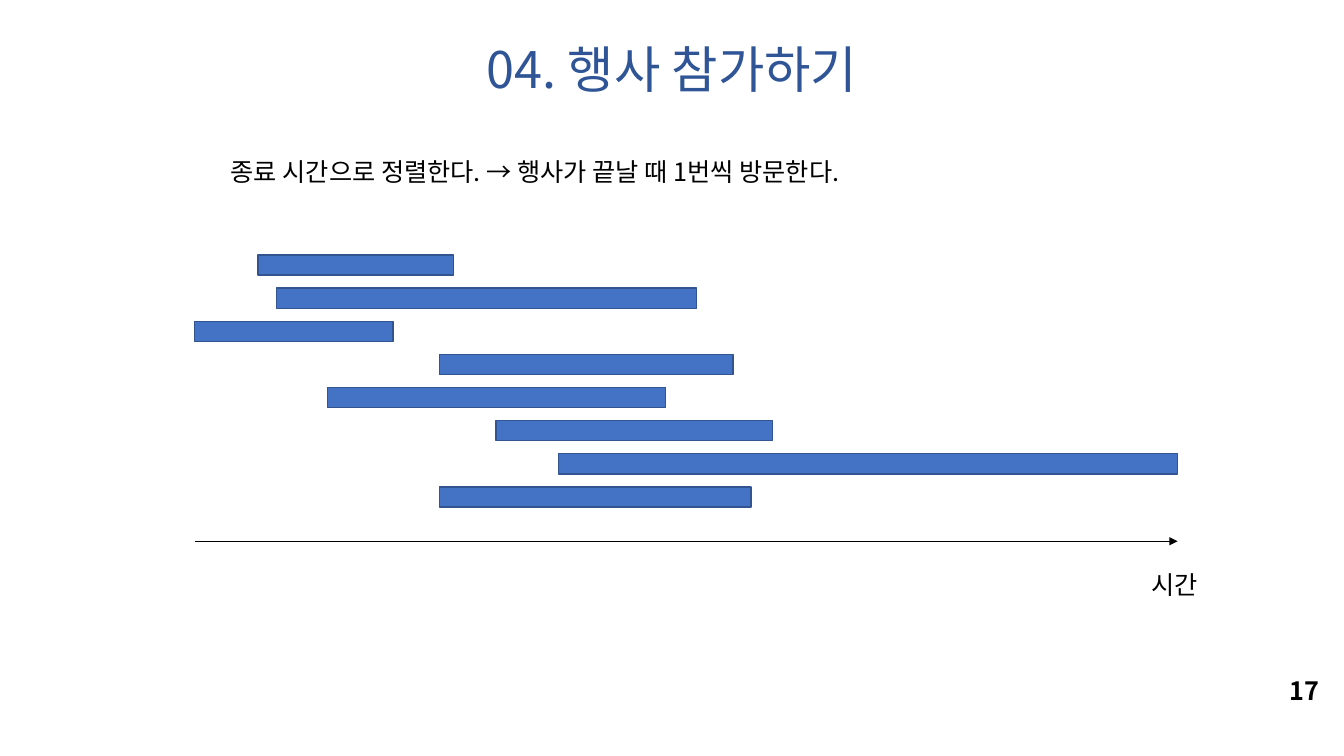
from dataclasses import dataclass

from lxml import etree
from pptx import Presentation
from pptx.dml.color import RGBColor
from pptx.enum.shapes import MSO_CONNECTOR, MSO_SHAPE
from pptx.enum.text import MSO_AUTO_SIZE, PP_ALIGN
from pptx.oxml.ns import qn
from pptx.util import Inches, Pt

RECTANGLE = MSO_SHAPE.RECTANGLE
STRAIGHT = MSO_CONNECTOR.STRAIGHT
FIT_SHAPE = MSO_AUTO_SIZE.SHAPE_TO_FIT_TEXT
LEFT, CENTER = PP_ALIGN.LEFT, PP_ALIGN.CENTER


@dataclass(frozen=True)
class Theme:
    font: str = "Noto Sans CJK KR"
    text: RGBColor = RGBColor(0x00, 0x00, 0x00)
    title: RGBColor = RGBColor(0x2F, 0x55, 0x97)
    bar: RGBColor = RGBColor(0x44, 0x72, 0xC4)
    bar_line: RGBColor = RGBColor(0x32, 0x54, 0x91)
    title_size: int = 36
    body_size: int = 18


THEME = Theme()
SLIDE_WIDTH, SLIDE_HEIGHT = 13.33, 7.5
AXIS_START, AXIS_END, AXIS_TOP = 1.93, 11.68, 5.37
FIRST_BAR_TOP, LAST_BAR_TOP, BAR_HEIGHT = 2.53, 4.83, 0.2

# Start and length of each event along the time axis, top to bottom
EVENTS = [
    (2.56, 1.94),
    (2.74, 4.17),
    (1.93, 1.97),
    (4.36, 2.91),
    (3.25, 3.35),
    (4.92, 2.74),
    (5.54, 6.14),
    (4.36, 3.09),
]


def add_text(slide, text, left, top, width, height, *, size=THEME.body_size,
             color=THEME.text, bold=False, align=LEFT, wrap=True):
    sp = slide.shapes.add_textbox(Inches(left), Inches(top), Inches(width), Inches(height))
    tf = sp.text_frame
    tf.word_wrap = wrap
    tf.auto_size = FIT_SHAPE
    p = tf.paragraphs[0]
    p.alignment = align
    r = p.add_run()
    r.text = text
    r.font.name = THEME.font
    r.font.size = Pt(size)
    r.font.bold = bold
    r.font.color.rgb = color
    east_asian = etree.SubElement(r.font._element, qn("a:ea"))
    east_asian.set("typeface", THEME.font)


def add_event_bar(slide, start, top, length):
    sp = slide.shapes.add_shape(
        RECTANGLE, Inches(start), Inches(top), Inches(length), Inches(BAR_HEIGHT))
    sp.shadow.inherit = False
    sp.fill.solid()
    sp.fill.fore_color.rgb = THEME.bar
    sp.line.color.rgb = THEME.bar_line
    sp.line.width = Pt(1)


def add_time_axis(slide):
    axis = slide.shapes.add_connector(
        STRAIGHT, Inches(AXIS_START), Inches(AXIS_TOP), Inches(AXIS_END), Inches(AXIS_TOP))
    axis.line.color.rgb = THEME.text
    axis.line.width = Pt(0.5)
    arrowhead = etree.SubElement(axis.line._get_or_add_ln(), qn("a:tailEnd"))
    arrowhead.set("type", "triangle")
    etree.SubElement(axis._element.spPr, qn("a:effectLst"))


def main():
    prs = Presentation()
    prs.slide_width, prs.slide_height = Inches(SLIDE_WIDTH), Inches(SLIDE_HEIGHT)
    slide = prs.slides.add_slide(prs.slide_layouts[6])

    add_text(slide, "04. 행사 참가하기", 0, 0.33, SLIDE_WIDTH, 0.71,
             size=THEME.title_size, color=THEME.title, align=CENTER)
    add_text(slide, "종료 시간으로 정렬한다. → 행사가 끝날 때 1번씩 방문한다.",
             2.19, 1.5, 11.14, 0.4)

    pitch = (LAST_BAR_TOP - FIRST_BAR_TOP) / (len(EVENTS) - 1)
    for row, (start, length) in enumerate(EVENTS):
        add_event_bar(slide, start, FIRST_BAR_TOP + row * pitch, length)

    add_time_axis(slide)
    add_text(slide, "시간", 11.32, 5.6, 0.71, 0.4, wrap=False)
    add_text(slide, "17", 12.69, 6.65, 0.53, 0.4, bold=True, wrap=False)

    prs.save("out.pptx")


if __name__ == "__main__":
    main()
